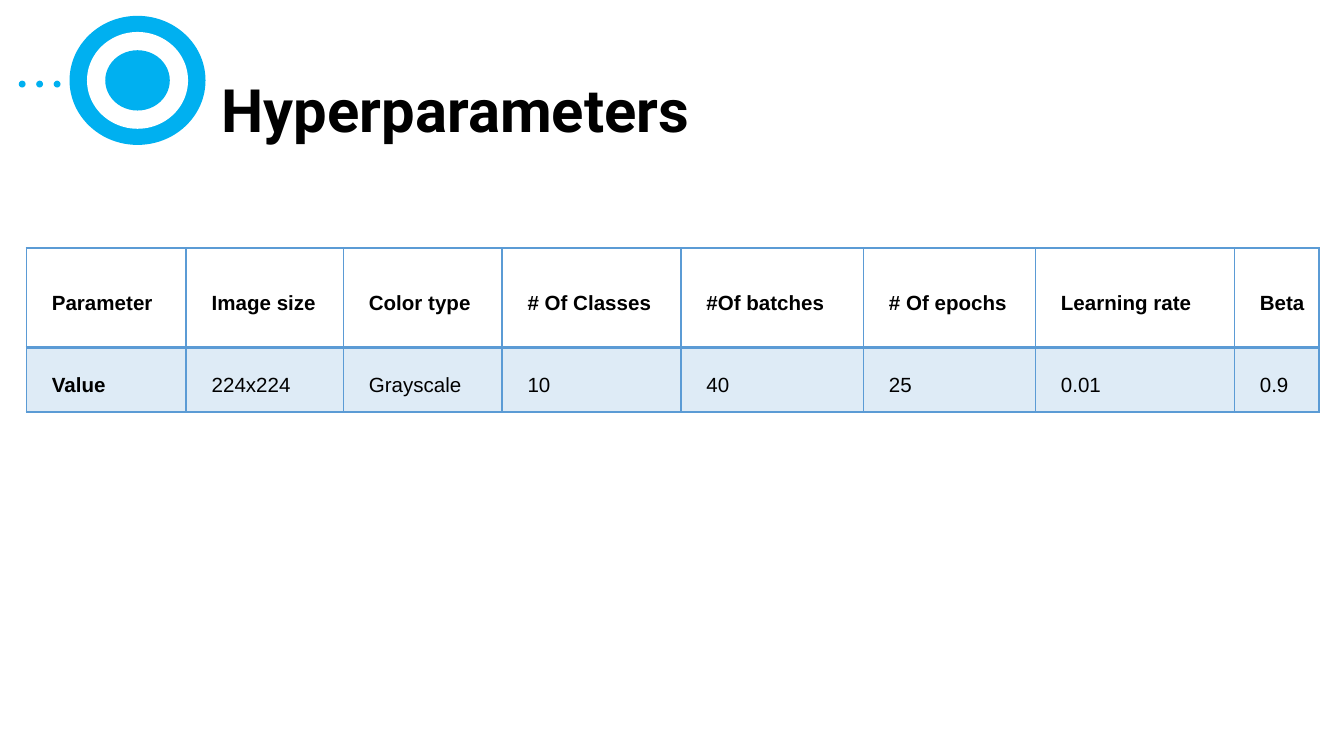
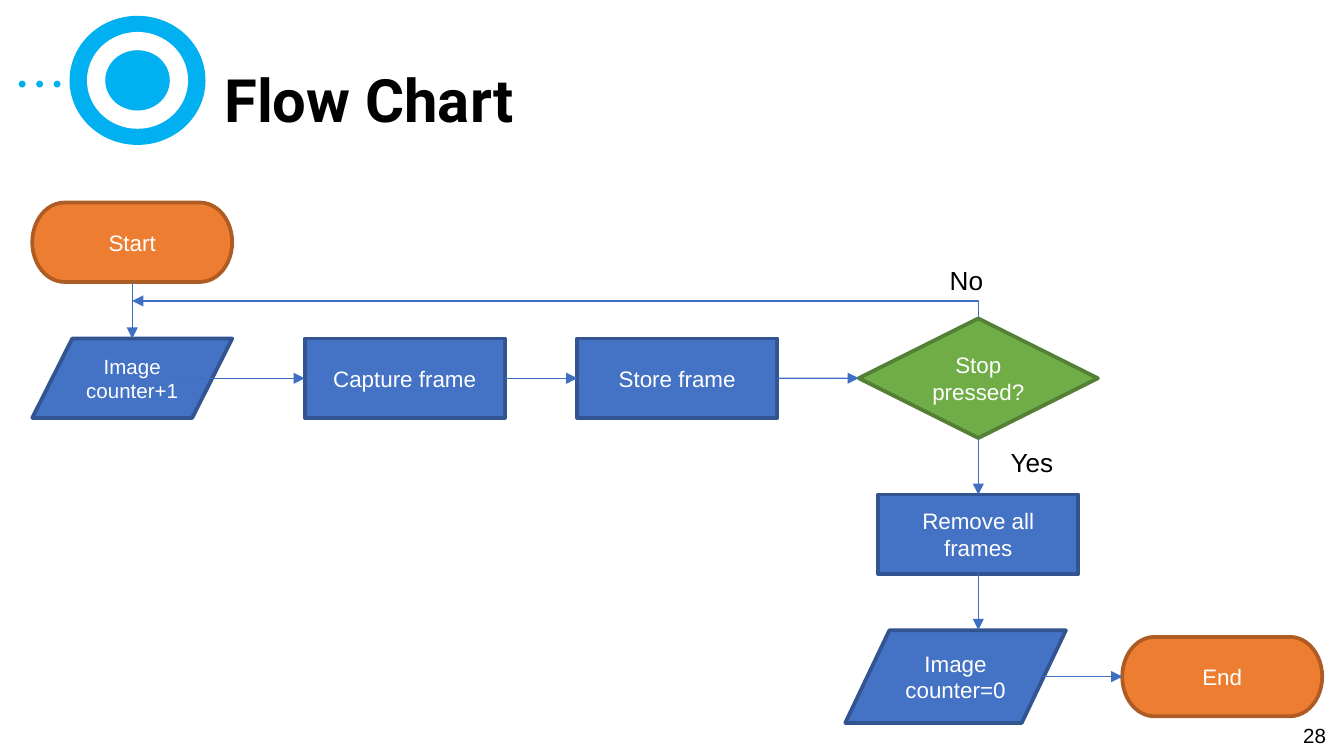
from lxml import etree
from pptx import Presentation
from pptx.dml.color import RGBColor
from pptx.enum.shapes import MSO_CONNECTOR, MSO_SHAPE
from pptx.enum.text import MSO_ANCHOR, MSO_AUTO_SIZE, PP_ALIGN
from pptx.oxml.ns import qn
from pptx.util import Cm, Pt

OVAL = MSO_SHAPE.OVAL
TERMINATOR = MSO_SHAPE.FLOWCHART_TERMINATOR
DATA = MSO_SHAPE.FLOWCHART_DATA
PROCESS = MSO_SHAPE.FLOWCHART_PROCESS
DECISION = MSO_SHAPE.FLOWCHART_DECISION
STRAIGHT, ELBOW = MSO_CONNECTOR.STRAIGHT, MSO_CONNECTOR.ELBOW
CENTER, JUSTIFY = PP_ALIGN.CENTER, PP_ALIGN.JUSTIFY
MIDDLE, BOTTOM = MSO_ANCHOR.MIDDLE, MSO_ANCHOR.BOTTOM
FIT_SHAPE = MSO_AUTO_SIZE.SHAPE_TO_FIT_TEXT
TOP_SIDE, LEFT_SIDE, BOTTOM_SIDE, RIGHT_SIDE = range(4)

COLORS = {
    "accent": "00B0F0", "white": "FFFFFF", "black": "000000",
    "table": "5B9BD5", "arrow": "3F6FC3",
    "orange": "ED7D31", "orange edge": "AF5C24",
    "blue": "4472C4", "blue edge": "325491",
    "green": "70AD47", "green edge": "538035",
}
# Fill colour of each kind of flow chart step
STEP_COLORS = {TERMINATOR: "orange", DATA: "blue", PROCESS: "blue", DECISION: "green"}


def color(name):
    return RGBColor.from_string(COLORS[name])


class Slides:
    """Holds the deck, its style and the current slide."""

    def __init__(self):
        self.deck = Presentation()
        self.deck.slide_width, self.deck.slide_height = Cm(25.4), Cm(14.29)
        self.page = None

    def new_page(self, title, left, top, width):
        self.page = self.deck.slides.add_slide(self.deck.slide_layouts[6])
        # Target emblem and its three dots
        for width_cm, height_cm, fill in ((2.57, 2.44, "accent"),
                                          (1.91, 1.83, "white"),
                                          (1.22, 1.14, "accent")):
            self.shape(OVAL, 2.6, 1.52, width_cm, height_cm, fill)
        for index in range(3):
            self.shape(OVAL, 0.42 + 0.33 * index, 1.59, 0.13, 0.13, "accent")
        # Title
        box = self.text(title, left, top, width, 2.44, 32, "Roboto", bold=True)
        frame = box.text_frame
        frame.word_wrap, frame.vertical_anchor = True, BOTTOM
        frame.margin_left = frame.margin_right = 0
        frame.margin_top = frame.margin_bottom = 0
        self.spacing(frame.paragraphs[0])

    def spacing(self, para):
        para.line_spacing, para.space_after = 1.5, Pt(6)

    def set_text(self, frame, text, size, font="Arial", ink="black", bold=False):
        para = frame.paragraphs[0]
        para.text = text
        para.font.size, para.font.name, para.font.bold = Pt(size), font, bold
        para.font.color.rgb = color(ink)
        return para

    def text(self, text, left, top, width, height, size, font="Arial", bold=False):
        box = self.page.shapes.add_textbox(Cm(left), Cm(top), Cm(width), Cm(height))
        box.text_frame.word_wrap = False
        self.set_text(box.text_frame, text, size, font, bold=bold)
        return box

    def label(self, text, left, top, width):
        box = self.text(text, left, top, width, 0.86, 14)
        box.text_frame.auto_size = FIT_SHAPE

    def shape(self, kind, center_x, center_y, width, height, fill):
        shape = self.page.shapes.add_shape(
            kind, Cm(center_x - width / 2), Cm(center_y - height / 2),
            Cm(width), Cm(height))
        shape.shadow.inherit = False
        shape.fill.solid()
        shape.fill.fore_color.rgb = color(fill)
        shape.line.fill.background()
        return shape

    def step(self, kind, text, center_x, center_y, width=3.78, height=1.5, size=12):
        fill = STEP_COLORS[kind]
        shape = self.shape(kind, center_x, center_y, width, height, fill)
        shape.line.color.rgb = color(fill + " edge")
        shape.line.width = Pt(2)
        shape.text_frame.vertical_anchor = MIDDLE
        para = self.set_text(shape.text_frame, text, size, ink="white")
        para.alignment = CENTER
        return shape

    def arrow(self, begin, end, kind=STRAIGHT, source=None, target=None):
        """Source and target are (shape, side) pairs to join."""
        connector = self.page.shapes.add_connector(
            kind, *(Cm(length) for length in (*begin, *end)))
        if source:
            connector.begin_connect(*source)
        if target:
            connector.end_connect(*target)
        connector.line.color.rgb = color("arrow")
        connector.line.width = Pt(0.75)
        properties = connector._element.spPr
        etree.SubElement(properties.find(qn("a:ln")), qn("a:tailEnd"), type="triangle")
        etree.SubElement(properties, qn("a:effectLst"))
        return connector

    def corner_arrow(self, begin, end):
        """Goes up from begin, then left to end: one bend, a quarter turn."""
        middle_x, middle_y = ((a + b) / 2 for a, b in zip(begin, end))
        run, rise = ((a - b) / 2 for a, b in zip(begin, end))
        connector = self.arrow((middle_x - rise, middle_y + run),
                               (middle_x + rise, middle_y - run), ELBOW)
        properties = connector._element.spPr
        properties.find(qn("a:xfrm")).set("rot", "16200000")
        properties.find(qn("a:prstGeom")).set("prst", "bentConnector2")

    def table(self, rows, left, top, widths, heights):
        frame = self.page.shapes.add_table(
            len(rows), len(widths), Cm(left), Cm(top), Cm(sum(widths)), Cm(sum(heights)))
        table = frame.table
        table.first_row = table.horz_banding = False
        for column, width in zip(table.columns, widths):
            column.width = Cm(width)
        for row_index, (values, height) in enumerate(zip(rows, heights)):
            table.rows[row_index].height = Cm(height)
            for column_index, value in enumerate(values):
                bold = row_index == 0 or column_index == 0
                self.cell(table.cell(row_index, column_index), value, row_index == 0, bold)

    def cell(self, cell, value, header, bold):
        cell.vertical_anchor = MIDDLE
        cell.margin_left = cell.margin_right = Cm(0.18)
        cell.margin_top = cell.margin_bottom = 0
        para = self.set_text(cell.text_frame, value, 11, bold=bold)
        para.alignment = JUSTIFY
        para._p.get_or_add_pPr().set("indent", str(Cm(0.3)))
        self.spacing(para)
        # Borders: the line under the header is heavier
        heavy = "lnB" if header else "lnT"
        properties = cell._tc.get_or_add_tcPr()
        for side in ("lnL", "lnR", "lnT", "lnB"):
            width = Pt(2 if side == heavy else 1)
            line = etree.SubElement(properties, qn("a:" + side), w=str(width))
            fill = etree.SubElement(line, qn("a:solidFill"))
            etree.SubElement(fill, qn("a:srgbClr"), val=COLORS["table"])
        # Fill: a light tint below the header
        if header:
            cell.fill.background()
        else:
            cell.fill.solid()
            cell.fill.fore_color.rgb = color("table")
            tint = properties.find(qn("a:solidFill")).find(qn("a:srgbClr"))
            etree.SubElement(tint, qn("a:alpha"), val="20000")


def add_hyperparameters(slides):
    slides.new_page("Hyperparameters", 4.19, 0.3, 15.09)
    rows = [
        ("Parameter", "Image size", "Color type", "# Of Classes",
         "#Of batches", "# Of epochs", "Learning rate", "Beta"),
        ("Value", "224x224", "Grayscale", "10", "40", "25", "0.01", "0.9"),
    ]
    widths = (3.02, 2.97, 3, 3.38, 3.45, 3.25, 3.76, 1.6)
    slides.table(rows, 0.5, 4.69, widths, (1.88, 1.22))


def add_flow_chart(slides):
    slides.new_page("Flow Chart", 4.24, 0.1, 18.44)

    # Steps, placed by their centres
    first_x, pitch, decision_x = 2.5, 5.15, 18.49
    main_y, last_y = 7.15, 12.79
    start = slides.step(TERMINATOR, "Start", first_x, 4.58)
    slides.step(DATA, "Image counter+1", first_x, main_y, size=11)
    capture = slides.step(PROCESS, "Capture frame", first_x + pitch, main_y)
    store = slides.step(PROCESS, "Store frame", first_x + 2 * pitch, main_y)
    remove = slides.step(PROCESS, "Remove all frames", decision_x, 10.1)
    stop = slides.step(DECISION, "Stop pressed?", decision_x, main_y, 4.52, 2.26)
    slides.step(DATA, "Image counter=0", 18.06, last_y, 4.17, 1.75)
    end = slides.step(TERMINATOR, "End", 23.1, last_y)

    # Arrows
    slides.arrow((first_x, 5.33), (first_x, 6.4), source=(start, BOTTOM_SIDE))
    slides.arrow((3.33, main_y), (5.76, main_y), target=(capture, LEFT_SIDE))
    for source, target in ((capture, store), (store, stop)):
        slides.arrow((0, 0), (0, 0), source=(source, RIGHT_SIDE), target=(target, LEFT_SIDE))
    slides.corner_arrow((decision_x, 6.02), (first_x, 5.69))
    slides.arrow((0, 0), (0, 0), source=(stop, BOTTOM_SIDE), target=(remove, TOP_SIDE))
    slides.arrow((decision_x, 10.85), (decision_x, 11.91), source=(remove, BOTTOM_SIDE))
    slides.arrow((19.72, last_y), (21.21, last_y), target=(end, LEFT_SIDE))

    # Branch labels and page number
    slides.label("No", 17.7, 4.88, 1.14)
    slides.label("Yes", 18.85, 8.31, 1.37)
    slides.text("28", 24.38, 13.54, 1, 0.74, 11)


def main():
    slides = Slides()
    add_hyperparameters(slides)
    add_flow_chart(slides)
    slides.deck.save("out.pptx")


if __name__ == "__main__":
    main()
